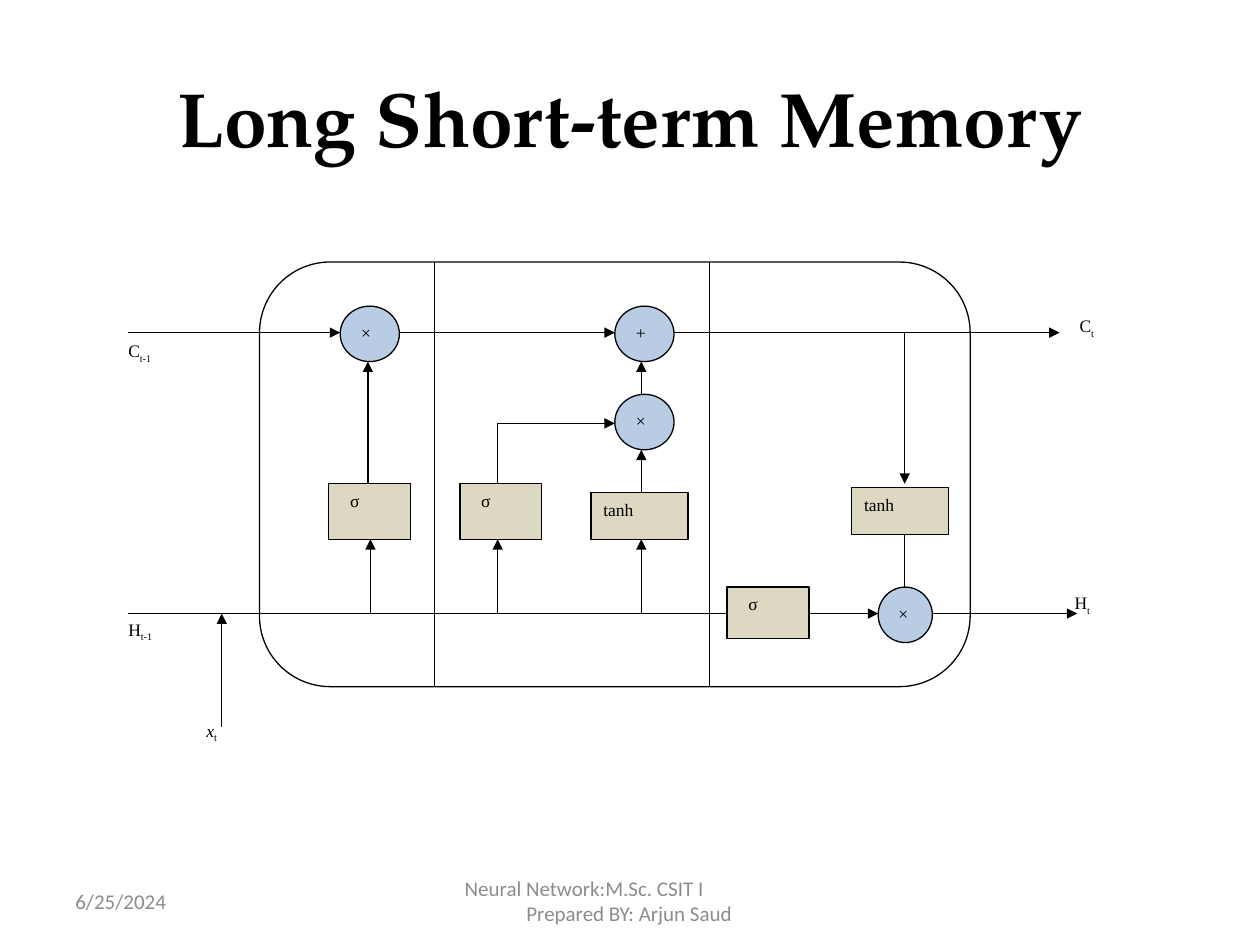
from dataclasses import dataclass

import pptx
import pptx.dml.color
import pptx.enum.shapes
import pptx.enum.text
import pptx.oxml.ns
import pptx.util
from lxml import etree

Inches = pptx.util.Inches
Pt = pptx.util.Pt
RGBColor = pptx.dml.color.RGBColor
SHAPE = pptx.enum.shapes.MSO_SHAPE
ALIGN = pptx.enum.text.PP_ALIGN
ANCHOR = pptx.enum.text.MSO_ANCHOR
qn = pptx.oxml.ns.qn

BLACK = RGBColor(0, 0, 0)
WHITE = RGBColor(255, 255, 255)
TAN = RGBColor(0xDD, 0xD8, 0xC2)
BLUE = RGBColor(0xB8, 0xCC, 0xE4)
GREY = RGBColor(0x8C, 0x8C, 0x8C)
SERIF = "Times New Roman"
LINE_WIDTH = Pt(0.75)

CELL_Y, HIDDEN_Y = 2.64, 4.87  # the two state lines
GATE_BOTTOM = 4.28
CELL_TOP, CELL_BOTTOM = 2.08, 5.45


@dataclass
class Node:
    text: str
    x: float
    y: float
    w: float
    h: float
    indent: float = 0


@dataclass
class Label:
    name: str
    sub: str
    x: float
    y: float
    w: float
    indent: float = 0
    italic: bool = False


@dataclass
class Wire:
    x1: float
    y1: float
    x2: float
    y2: float
    arrow: bool = True


GATES = [
    Node("σ", 2.61, 3.84, 0.65, 0.44, 0.07),
    Node("σ", 3.65, 3.84, 0.65, 0.44, 0.07),
    Node("tanh", 4.69, 3.91, 0.77, 0.37),
    Node("σ", 5.77, 4.66, 0.65, 0.41, 0.07),
    Node("tanh", 6.76, 3.87, 0.77, 0.37),
]
OPERATORS = [
    Node("×", 6.97, 4.66, 0.43, 0.44),
    Node("×", 2.7, 2.43, 0.47, 0.44),
    Node("+", 4.88, 2.43, 0.47, 0.44),
    Node("×", 4.88, 3.13, 0.47, 0.44),
]
LABELS = [
    Label("C", "t-1", 0.92, 2.64, 0.63),
    Label("H", "t-1", 0.92, 4.85, 0.63),
    Label("x", "t", 1.54, 5.65, 0.51, italic=True),
    Label("C", "t", 8.43, 2.44, 0.65, 0.04),
    Label("H", "t", 8.43, 4.64, 0.65),
]
WIRES = [
    # Cell state
    Wire(1.02, CELL_Y, 2.7, CELL_Y),
    Wire(3.17, CELL_Y, 4.88, CELL_Y),
    Wire(5.35, CELL_Y, 8.41, CELL_Y),
    # Hidden state and input
    Wire(1.02, HIDDEN_Y, 5.77, HIDDEN_Y, False),
    Wire(6.43, HIDDEN_Y, 6.97, HIDDEN_Y),
    Wire(7.4, HIDDEN_Y, 8.55, HIDDEN_Y),
    Wire(1.76, 5.77, 1.76, HIDDEN_Y),
    # Hidden state into the gates
    *[Wire(x, HIDDEN_Y, x, GATE_BOTTOM) for x in (2.94, 3.95, 5.09)],
    # Gates to operators
    Wire(2.92, 3.84, 2.92, 2.87),
    Wire(3.95, 3.84, 3.95, 3.36, False),
    Wire(3.95, 3.36, 4.88, 3.36),
    Wire(5.09, 3.91, 5.09, 3.57),
    Wire(5.09, 3.13, 5.09, 2.87),
    Wire(7.18, CELL_Y, 7.18, 3.84),
    Wire(7.18, 4.66, 7.18, 4.24, False),
    # Dividers between the gate sections
    *[Wire(x, CELL_TOP, x, CELL_BOTTOM, False) for x in (3.45, 5.63)],
]


def style_run(r, font: str, size: float, color: RGBColor) -> None:
    r.font.name = font
    r.font.size = Pt(size)
    r.font.color.rgb = color


def set_indent(p, indent: float) -> None:
    if indent:
        p._p.get_or_add_pPr().set("marL", str(Inches(indent)))


def add_box(s, kind, x: float, y: float, w: float, h: float, fill=None, line=BLACK):
    sp = s.shapes.add_shape(kind, Inches(x), Inches(y), Inches(w), Inches(h))
    sp.shadow.inherit = False
    if fill is None:
        sp.fill.background()
    else:
        sp.fill.solid()
        sp.fill.fore_color.rgb = fill
    if line is None:
        sp.line.fill.background()
    else:
        sp.line.color.rgb = line
        sp.line.width = LINE_WIDTH
    sp.text_frame.vertical_anchor = ANCHOR.TOP
    sp.text_frame.paragraphs[0].alignment = ALIGN.LEFT
    return sp


def add_node(s, node: Node, kind, fill: RGBColor, spacing: float) -> None:
    sp = add_box(s, kind, node.x, node.y, node.w, node.h, fill)
    p = sp.text_frame.paragraphs[0]
    p.text = node.text
    p.line_spacing = spacing
    set_indent(p, node.indent)
    style_run(p.runs[0], SERIF, 10, BLACK)


def add_label(s, label: Label) -> None:
    sp = add_box(s, SHAPE.RECTANGLE, label.x, label.y, label.w, 0.43, WHITE, None)
    p = sp.text_frame.paragraphs[0]
    p.line_spacing = 1.07
    set_indent(p, label.indent)
    for text in (label.name, label.sub):
        r = p.add_run()
        r.text = text
        style_run(r, SERIF, 10, BLACK)
    p.runs[0].font.italic = label.italic
    p.runs[1].font._element.set("baseline", "-25000")


def add_wire(s, wire: Wire) -> None:
    c = s.shapes.add_connector(
        pptx.enum.shapes.MSO_CONNECTOR.STRAIGHT,
        Inches(wire.x1), Inches(wire.y1), Inches(wire.x2), Inches(wire.y2))
    c.line.color.rgb = BLACK
    c.line.width = LINE_WIDTH
    if wire.arrow:
        etree.SubElement(c.line._get_or_add_ln(), qn("a:tailEnd"), type="triangle")
    etree.SubElement(c._element.spPr, qn("a:effectLst"))


def add_text(s, text: str, x: float, y: float, w: float, h: float,
             font: str, size: float, color: RGBColor):
    tf = s.shapes.add_textbox(Inches(x), Inches(y), Inches(w), Inches(h)).text_frame
    tf.word_wrap = True
    tf.vertical_anchor = ANCHOR.MIDDLE
    tf.text = text
    for p in tf.paragraphs:
        style_run(p.runs[0], font, size, color)
    return tf


def main() -> None:
    prs = pptx.Presentation()
    prs.slide_width, prs.slide_height = Inches(10), Inches(7.5)
    s = prs.slides.add_slide(prs.slide_layouts[6])

    # Title
    tf = add_text(s, "Long Short-term Memory", 0.5, 0.3, 9, 1.25,
                  "TeX Gyre Pagella", 44, BLACK)
    tf.paragraphs[0].alignment = ALIGN.CENTER
    tf.paragraphs[0].runs[0].font.bold = True

    # LSTM cell
    add_box(s, SHAPE.ROUNDED_RECTANGLE, 2.06, CELL_TOP, 5.64, CELL_BOTTOM - CELL_TOP)
    for gate in GATES:
        add_node(s, gate, SHAPE.RECTANGLE, TAN, 1.0)
    for operator in OPERATORS:
        add_node(s, operator, SHAPE.OVAL, BLUE, 1.07)
    for label in LABELS:
        add_label(s, label)
    for wire in WIRES:
        add_wire(s, wire)

    # Footer
    add_text(s, "6/25/2024", 0.5, 6.95, 2.33, 0.4, "Calibri", 12, GREY)
    tf = add_text(s, "Neural Network:M.Sc. CSIT I\nPrepared BY: Arjun Saud",
                  3.42, 6.95, 3.17, 0.4, "Calibri", 12, GREY)
    for p, indent in zip(tf.paragraphs, (0.17, 0.66)):
        set_indent(p, indent)

    prs.save("out.pptx")


if __name__ == "__main__":
    main()
